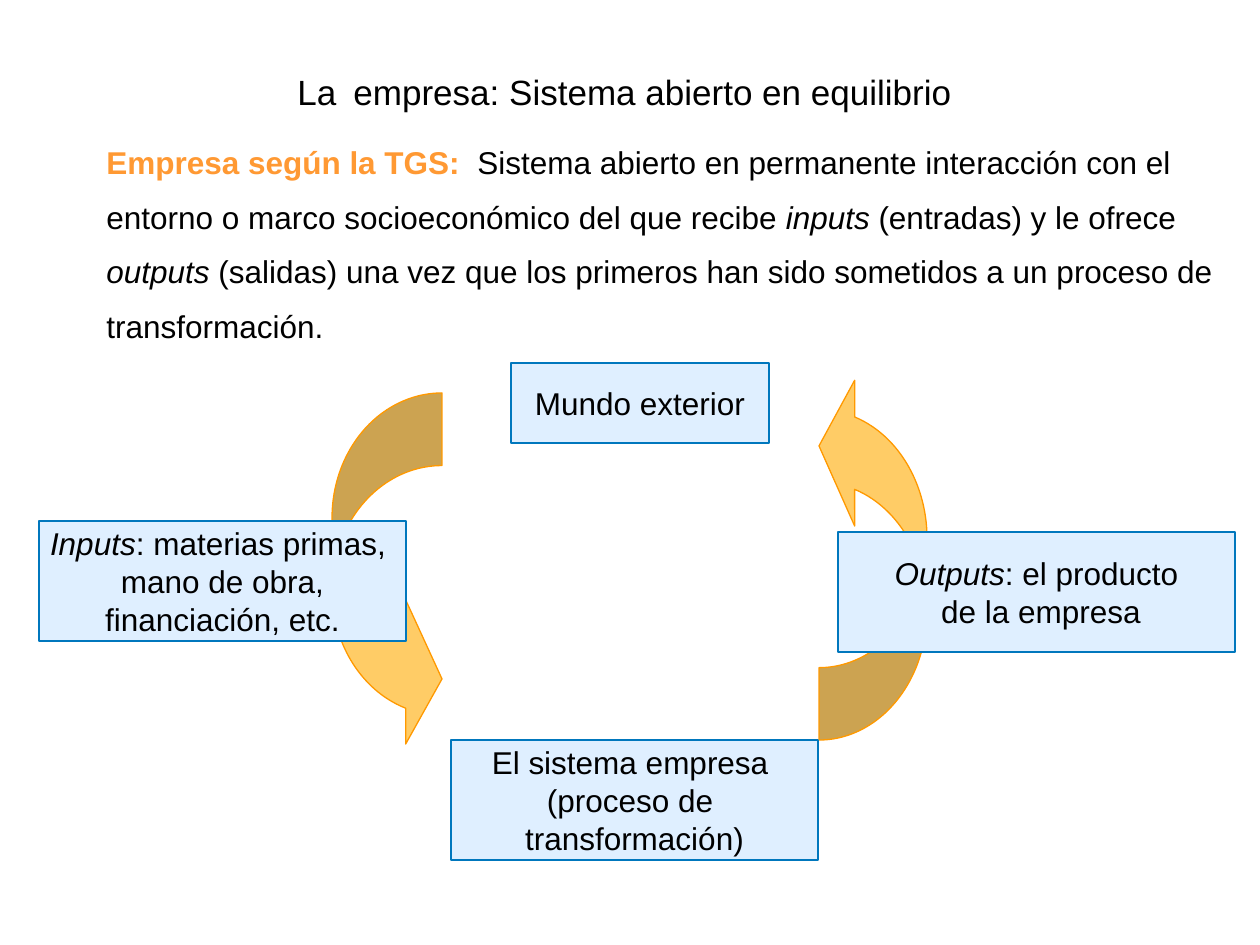
"""Build the slide about the company as an open system in equilibrium."""
from dataclasses import dataclass

from pptx import Presentation
from pptx import util as u
from pptx.dml import color
from pptx.enum import shapes, text

PX_PER_INCH = 126
FONT = "Arial"
COLORS = {
    "ink": "000000",
    "heading": "FF9933",
    "box": "DFEFFF",
    "box_line": "0077BD",
    "arrow": "FFCC66",
    "arrow_line": "FF9900",
}


@dataclass(frozen=True)
class Run:
    words: str
    size: float = 18
    color: str = "ink"
    bold: bool = False
    italic: bool = False


@dataclass(frozen=True)
class Area:
    left: int
    top: int
    width: int
    height: int


@dataclass(frozen=True)
class Box:
    area: Area
    paragraphs: list[list[Run]]


@dataclass(frozen=True)
class Arrow:
    area: Area
    rotation: int
    adjustments: tuple[float, float, float]


ARROWS = [
    Arrow(Area(819, 373, 108, 367), 180, (0.67, 1.35, 0.33)),
    Arrow(Area(332, 393, 110, 358), 0, (0.66, 1.31, 0.33)),
]
TITLE = Box(Area(63, 38, 1133, 87), [[
    Run("La", 20), Run(" ", 35), Run("empresa: Sistema abierto en equilibrio ", 20),
]])
DEFINITION = Box(Area(94, 125, 1132, 222), [[
    Run("Empresa según la TGS:  ", color="heading", bold=True),
    Run("Sistema abierto en permanente interacción con el entorno o marco "
        "socioeconómico del que recibe "),
    Run("inputs", italic=True),
    Run(" (entradas) y le ofrece "),
    Run("outputs", italic=True),
    Run(" (salidas) una vez que los primeros han sido sometidos a un proceso "
        "de transformación."),
]])
BOXES = [
    Box(Area(511, 363, 258, 80), [[Run("Mundo exterior")]]),
    Box(Area(39, 521, 367, 120), [
        [Run("Inputs", italic=True), Run(": materias primas, ")],
        [Run("mano de obra,")],
        [Run("financiación, etc.")],
    ]),
    Box(Area(838, 532, 397, 120), [
        [Run("Outputs", italic=True), Run(": el producto")],
        [Run(" de la empresa")],
    ]),
    Box(Area(451, 740, 367, 120), [
        [Run("El sistema empresa ")],
        [Run("(proceso de ")],
        [Run("transformación)")],
    ]),
]


def px(length: int) -> int:
    """Turn a length in px into EMU."""
    return round(length * u.Inches(1) / PX_PER_INCH)


def place(area: Area) -> tuple[int, int, int, int]:
    """Return left, top, width and height in EMU."""
    return px(area.left), px(area.top), px(area.width), px(area.height)


def rgb(name: str) -> color.RGBColor:
    """Look up a colour by its name."""
    return color.RGBColor.from_string(COLORS[name])


def write(shape, paragraphs: list[list[Run]], *, align=text.PP_ALIGN.CENTER,
          anchor=text.MSO_ANCHOR.MIDDLE, wrap: bool = True,
          line_spacing: float = 1.0, margin_y: int = 6) -> None:
    """Fill a shape with formatted paragraphs."""
    frame = shape.text_frame
    frame.word_wrap = wrap
    frame.vertical_anchor = anchor
    frame.margin_top = frame.margin_bottom = px(margin_y)
    for index, runs in enumerate(paragraphs):
        paragraph = frame.add_paragraph() if index else frame.paragraphs[0]
        paragraph.alignment = align
        paragraph.line_spacing = line_spacing
        for item in runs:
            run = paragraph.add_run()
            run.text = item.words
            run.font.name = FONT
            run.font.size = u.Pt(item.size)
            run.font.bold = item.bold
            run.font.italic = item.italic
            run.font.color.rgb = rgb(item.color)


def draw_shape(slide, kind, area: Area, fill: str, line: str):
    """Add a flat preset shape with a thin outline."""
    shape = slide.shapes.add_shape(kind, *place(area))
    shape.shadow.inherit = False
    shape.fill.solid()
    shape.fill.fore_color.rgb = rgb(fill)
    shape.line.color.rgb = rgb(line)
    shape.line.width = u.Pt(0.75)
    return shape


def draw_arrow(slide, arrow: Arrow) -> None:
    """Draw one curved arrow of the cycle."""
    shape = draw_shape(slide, shapes.MSO_SHAPE.CURVED_RIGHT_ARROW, arrow.area,
                       "arrow", "arrow_line")
    shape.rotation = arrow.rotation
    for index, value in enumerate(arrow.adjustments):
        shape.adjustments[index] = value


def draw_box(slide, box: Box) -> None:
    """Draw one labelled rectangle of the cycle."""
    shape = draw_shape(slide, shapes.MSO_SHAPE.RECTANGLE, box.area, "box", "box_line")
    write(shape, box.paragraphs, wrap=False)


def draw_text(slide, box: Box, **text_format) -> None:
    """Draw a text box without fill or outline."""
    shape = slide.shapes.add_textbox(*place(box.area))
    write(shape, box.paragraphs, **text_format)


def main() -> None:
    """Build and save the presentation."""
    presentation = Presentation()
    presentation.slide_width = px(1260)
    presentation.slide_height = px(945)
    slide = presentation.slides.add_slide(presentation.slide_layouts[6])
    for arrow in ARROWS:
        draw_arrow(slide, arrow)
    draw_text(slide, TITLE)
    draw_text(slide, DEFINITION, align=text.PP_ALIGN.LEFT,
              anchor=text.MSO_ANCHOR.TOP, line_spacing=1.45, margin_y=1)
    for box in BOXES:
        draw_box(slide, box)
    presentation.save("out.pptx")


if __name__ == "__main__":
    main()
